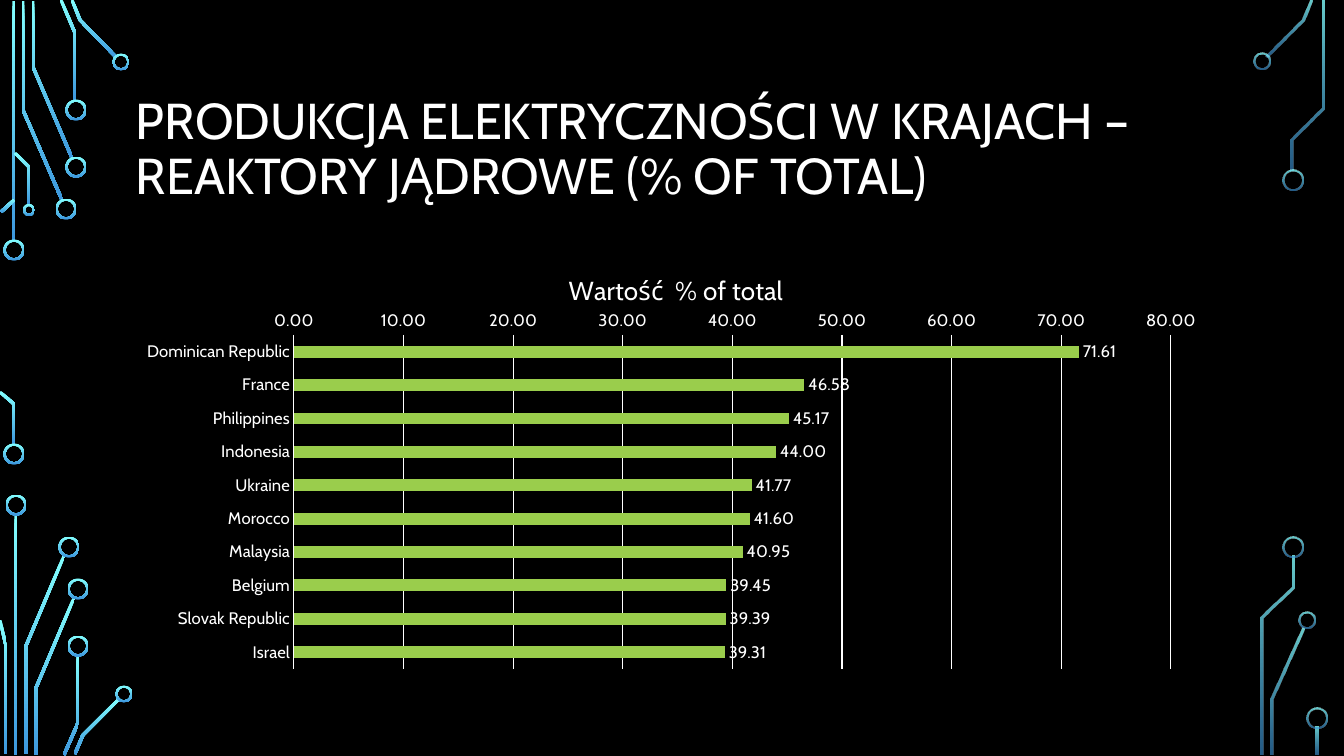
import math
from pptx import Presentation, util as u
from pptx.chart.data import CategoryChartData
from pptx.dml.color import RGBColor
from pptx.enum import chart as ch, shapes, text
from pptx.oxml import parse_xml
from pptx.oxml.ns import nsdecls, qn
from lxml import etree

TITLE = "PRODUKCJA ELEKTRYCZNOŚCI W KRAJACH – REAKTORY JĄDROWE (% OF TOTAL)"
CHART_TITLE = "Wartość  % of total"
SHARES = {
    "Dominican Republic": 71.61, "France": 46.58, "Philippines": 45.17,
    "Indonesia": 44, "Ukraine": 41.77, "Morocco": 41.6, "Malaysia": 40.95,
    "Belgium": 39.45, "Slovak Republic": 39.39, "Israel": 39.31,
}
LEFT_TRACES = [
    [(14, 1), (14, 242)],
    [(23, 1), (23, 110), (62, 200)],
    [(33, 1), (33, 67), (72, 158)],
    [(61, 0), (75, 33), (75, 101)],
    [(72, 0), (80, 20), (116, 57)],
    [(1, 212), (14, 200)],
    [(0, 392), (14, 404), (14, 444)],
    [(15, 153), (29, 167), (29, 205)],
    [(16, 514), (16, 755)],
    [(26, 754), (26, 646), (64, 556)],
    [(6, 754), (6, 646), (0, 620)],
    [(36, 755), (36, 688), (74, 598)],
    [(64, 755), (78, 723), (78, 655)],
    [(75, 754), (83, 735), (119, 699)],
]
RIGHT_TRACES = [
    [(1267, 56), (1303, 20), (1311, 0)],
    [(1272, 755), (1272, 699), (1303, 628)],
    [(1292, 170), (1292, 139), (1323, 108), (1323, 1)],
    [(1262, 755), (1262, 618), (1293, 588), (1293, 556)],
    [(1317, 727), (1317, 755)],
]
LEFT_RINGS = [
    (14, 250, 21), (14, 454, 21), (66, 209, 21), (76, 167, 21), (76, 110, 21),
    (121, 62, 17), (29, 210, 12), (16, 505, 21), (69, 547, 21), (78, 589, 21),
    (78, 646, 21), (124, 694, 17),
]
RIGHT_RINGS = [(1262, 61, 17), (1293, 180, 21), (1307, 620, 17),
               (1293, 547, 21), (1317, 718, 21)]

BLACK, WHITE = RGBColor(0, 0, 0), RGBColor(255, 255, 255)
GREEN = RGBColor(0x9A, 0xCD, 0x4C)
CYAN, BLUE = RGBColor(0x82, 0xFF, 0xFF), RGBColor(0x3D, 0x97, 0xDE)
FONT = "Cabin"
TRACE_W, RING_W = 3, 2
CHART_BOX = (126, 247, 1092, 431)


def px(v):
    return u.Emu(round(v * 914400 / 100.8))


def style_font(f, size):
    f.name, f.size, f.bold = FONT, u.Pt(size), False
    f.color.rgb = WHITE


def glow(sp, alphas):
    sp.shadow.inherit = False
    sp.line.fill.background()
    sp.fill.gradient()
    sp.fill.gradient_angle = 270
    for stop, color in zip(sp.fill.gradient_stops, (CYAN, BLUE)):
        stop.color.rgb = color
    for clr, alpha in zip(sp._element.spPr.iter(qn("a:srgbClr")), alphas):
        if alpha < 100:
            etree.SubElement(clr, qn("a:alpha"), val=str(alpha * 1000))


def trace_outline(pts, width):
    normals = []
    for (x1, y1), (x2, y2) in zip(pts, pts[1:]):
        d = math.hypot(x2 - x1, y2 - y1)
        normals.append(((y1 - y2) / d, (x2 - x1) / d))
    one, two = [], []
    for (x, y), (ax, ay), (bx, by) in zip(pts, normals[:1] + normals, normals + normals[-1:]):
        k = width / 2 / (1 + ax * bx + ay * by)
        dx, dy = (ax + bx) * k, (ay + by) * k
        one.append((px(x + dx), px(y + dy)))
        two.append((px(x - dx), px(y - dy)))
    return one + two[::-1]


def add_circuit(s, traces, rings, alphas):
    for pts in traces:
        outline = trace_outline(pts, TRACE_W)
        fb = s.shapes.build_freeform(*outline[0])
        fb.add_line_segments(outline[1:], close=True)
        glow(fb.convert_to_shape(), alphas)
    for cx, cy, d in rings:
        sp = s.shapes.add_shape(shapes.MSO_SHAPE.DONUT, px(cx - d / 2), px(cy - d / 2), px(d), px(d))
        sp.adjustments[0] = RING_W / d
        glow(sp, alphas)


def place(parent, index, inner, **fractions):
    for old in parent.findall(qn("c:layout")):
        parent.remove(old)
    target = '<c:layoutTarget val="inner"/>' if inner else ""
    modes = "".join(f'<c:{k}Mode val="edge"/>' for k in "xy")
    sizes = "".join(f'<c:{k} val="{v:.4f}"/>' for k, v in fractions.items())
    parent.insert(index, parse_xml(
        f'<c:layout {nsdecls("c")}><c:manualLayout>{target}{modes}{sizes}</c:manualLayout></c:layout>'))


prs = Presentation()
prs.slide_width, prs.slide_height = px(1344), px(756)
s = prs.slides.add_slide(prs.slide_layouts[6])
s.background.fill.solid()
s.background.fill.fore_color.rgb = BLACK

add_circuit(s, LEFT_TRACES, LEFT_RINGS, (100, 100))
add_circuit(s, RIGHT_TRACES, RIGHT_RINGS, (80, 60))

tf = s.shapes.add_textbox(*map(px, (126, 69, 1092, 163))).text_frame
tf.word_wrap = True
tf.vertical_anchor = text.MSO_ANCHOR.MIDDLE
p = tf.paragraphs[0]
p.text = TITLE
p.line_spacing = 0.9
style_font(p.runs[0].font, 36)

data = CategoryChartData(number_format="0.00")
data.categories = list(SHARES)
data.add_series(CHART_TITLE, list(SHARES.values()))
chart = s.shapes.add_chart(ch.XL_CHART_TYPE.BAR_CLUSTERED, *map(px, CHART_BOX), data).chart
style_font(chart.font, 10)
chart.has_legend = False
chart.has_title = True
p = chart.chart_title.text_frame.paragraphs[0]
p.text = CHART_TITLE
style_font(p.runs[0].font, 18.6)

left, top, width, height = CHART_BOX
place(chart.chart_title._element, 1, False, x=(564 - left) / width, y=(267 - top) / height)
place(chart._chartSpace.chart.plotArea, 0, True, x=(294 - left) / width,
      y=(335 - top) / height, w=877 / width, h=334 / height)

cat, val = chart.category_axis, chart.value_axis
for axis in (cat, val):
    axis.major_tick_mark = axis.minor_tick_mark = ch.XL_TICK_MARK.NONE
    style_font(axis.tick_labels.font, 11.9)
cat.reverse_order = True
val.minimum_scale, val.maximum_scale, val.major_unit = 0, 80, 10
val.has_major_gridlines = True
val.tick_labels.number_format = "0.00"
val.tick_labels.number_format_is_linked = False
val.format.line.fill.background()
for line in (cat.format.line, val.major_gridlines.format.line):
    line.color.rgb = WHITE
    line.width = u.Pt(0.75)

plot = chart.plots[0]
plot.gap_width = 182
plot.vary_by_categories = False
bars = plot.series[0]
bars.format.fill.solid()
bars.format.fill.fore_color.rgb = GREEN
labels = bars.data_labels
labels.show_value = True
labels.position = ch.XL_LABEL_POSITION.OUTSIDE_END
labels.number_format = "0.00"
labels.number_format_is_linked = False
style_font(labels.font, 11.9)

prs.save("out.pptx")
